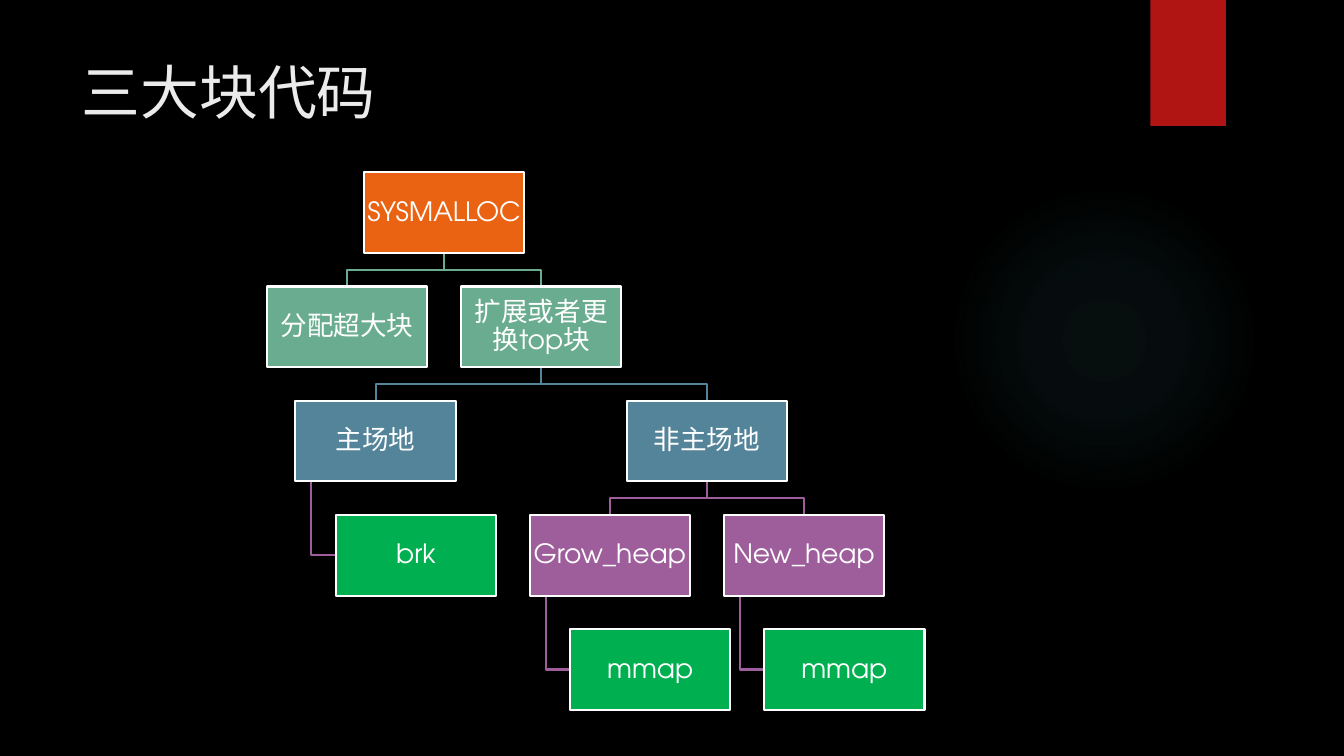
from lxml import etree
from pptx import Presentation, util as u
from pptx.dml.color import RGBColor
from pptx.enum import shapes, text
from pptx.oxml import parse_xml
from pptx.oxml.ns import nsdecls

FONT = "TeX Gyre Adventor"
BLACK = RGBColor(0x00, 0x00, 0x00)
WHITE = RGBColor(0xFF, 0xFF, 0xFF)
OFF_WHITE = RGBColor(0xEB, 0xEB, 0xEB)
RED = RGBColor(0xB0, 0x15, 0x13)
ORANGE = RGBColor(0xEA, 0x63, 0x12)
SAGE = RGBColor(0x6A, 0xAC, 0x90)
BLUE = RGBColor(0x54, 0x84, 0x9A)
PURPLE = RGBColor(0x9E, 0x5E, 0x9B)
GREEN = RGBColor(0x00, 0xB0, 0x50)
GLOW = RGBColor(0x50, 0xB9, 0xC1)

# Tree grid, in inches
BOX_W, BOX_H = 1.59, 0.8
ROOT_LEFT, ROOT_TOP, ROW_STEP = 3.61, 1.71, 1.133
HALF = 0.963    # half the distance between neighbouring siblings
WIDE = 1.643    # the same for the two arenas, which have wider subtrees
INDENT = 0.4    # shift of a box that hangs beside its parent's stem
STEM = BOX_W / 10

prs = Presentation()
prs.slide_width, prs.slide_height = u.Inches(13.33), u.Inches(7.5)
slide = prs.slides.add_slide(prs.slide_layouts[5])
slide.background.fill.solid()
slide.background.fill.fore_color.rgb = BLACK


def add_block(kind, left, top, width, height, color):
    block = slide.shapes.add_shape(
        kind, *(u.Inches(length) for length in (left, top, width, height)))
    block.shadow.inherit = False
    block.fill.solid()
    block.fill.fore_color.rgb = color
    block.line.fill.background()
    return block


# Backdrop: faint round glow and red tab
glow = add_block(shapes.MSO_SHAPE.OVAL, 9.41, 1.83, 3.08, 3.08, GLOW)
stops = "".join(
    f'<a:gs pos="{place}000"><a:srgbClr val="{GLOW}">'
    f'<a:alpha val="{opacity}000"/></a:srgbClr></a:gs>'
    for place, opacity in ((0, 7), (36, 6), (69, 0)))
gradient = parse_xml(
    f'<a:gradFill {nsdecls("a")}><a:gsLst>{stops}</a:gsLst><a:path path="circle">'
    '<a:fillToRect l="50000" t="50000" r="50000" b="50000"/></a:path></a:gradFill>')
solid = glow._element.spPr.find("{*}solidFill")
solid.getparent().replace(solid, gradient)
add_block(shapes.MSO_SHAPE.RECTANGLE, 11.41, 0, 0.75, 1.25, RED)

# Title
title = slide.shapes.title
title.left, title.top = u.Inches(0.71), u.Inches(0.5)
title.width, title.height = u.Inches(10.29), u.Inches(1.53)
title.text_frame.text = "三大块代码"
title.text_frame.vertical_anchor = text.MSO_ANCHOR.TOP
heading = title.text_frame.paragraphs[0]
heading.alignment = text.PP_ALIGN.LEFT
heading.runs[0].font.name = FONT
heading.runs[0].font.size = u.Pt(42)
heading.runs[0].font.color.rgb = OFF_WHITE

# Tree: label, index of the parent, shift from the parent, fill
tree = [
    ("SYSMALLOC", None, 0, ORANGE),
    ("分配超大块", 0, -HALF, SAGE),
    ("扩展或者更换top块", 0, HALF, SAGE),
    ("主场地", 2, -WIDE, BLUE),
    ("brk", 3, INDENT, GREEN),
    ("非主场地", 2, WIDE, BLUE),
    ("Grow_heap", 5, -HALF, PURPLE),
    ("mmap", 6, INDENT, GREEN),
    ("New_heap", 5, HALF, PURPLE),
    ("mmap", 8, INDENT, GREEN),
]
branch_colors = {1: SAGE, 2: BLUE, 3: PURPLE, 4: PURPLE}
spots = []      # left edge and level of each box
for label, parent, shift, fill in tree:
    left, level = (ROOT_LEFT, -1) if parent is None else spots[parent]
    spots.append((left + shift, level + 1))

# Branches, behind the boxes
for (label, parent, shift, fill), (left, level) in zip(tree, spots):
    if parent is None:
        continue
    parent_left = spots[parent][0]
    top = ROOT_TOP + level * ROW_STEP
    parent_bottom = top - ROW_STEP + BOX_H
    if shift == INDENT:
        stem_x, middle = parent_left + STEM, top + BOX_H / 2
        bends = [(stem_x, parent_bottom), (stem_x, middle), (left, middle)]
    else:
        start_x, end_x = parent_left + BOX_W / 2, left + BOX_W / 2
        middle = (parent_bottom + top) / 2
        bends = [(start_x, parent_bottom), (start_x, middle),
                 (end_x, middle), (end_x, top)]
    corners = [(u.Inches(x), u.Inches(y)) for x, y in bends]
    builder = slide.shapes.build_freeform(*corners[0])
    builder.add_line_segments(corners[1:], close=False)
    branch = builder.convert_to_shape()
    branch.shadow.inherit = False
    branch.fill.background()
    branch.line.color.rgb = branch_colors[level]
    branch.line.width = u.Pt(1.5)

# Boxes
for (label, parent, shift, fill), (left, level) in zip(tree, spots):
    box = add_block(shapes.MSO_SHAPE.RECTANGLE, left, ROOT_TOP + level * ROW_STEP,
                    BOX_W, BOX_H, fill)
    box.line.color.rgb = WHITE
    box.line.width = u.Pt(1.5)
    frame = box.text_frame
    frame.text = label
    frame.word_wrap = True
    frame.vertical_anchor = text.MSO_ANCHOR.MIDDLE
    frame.margin_left = frame.margin_right = u.Inches(0.01)
    frame.margin_top = frame.margin_bottom = u.Inches(0.01)
    line = frame.paragraphs[0]
    line.alignment = text.PP_ALIGN.CENTER
    line.line_spacing = 0.9
    line.runs[0].font.name = FONT
    line.runs[0].font.size = u.Pt(19)
    line.runs[0].font.color.rgb = WHITE

prs.save("out.pptx")
